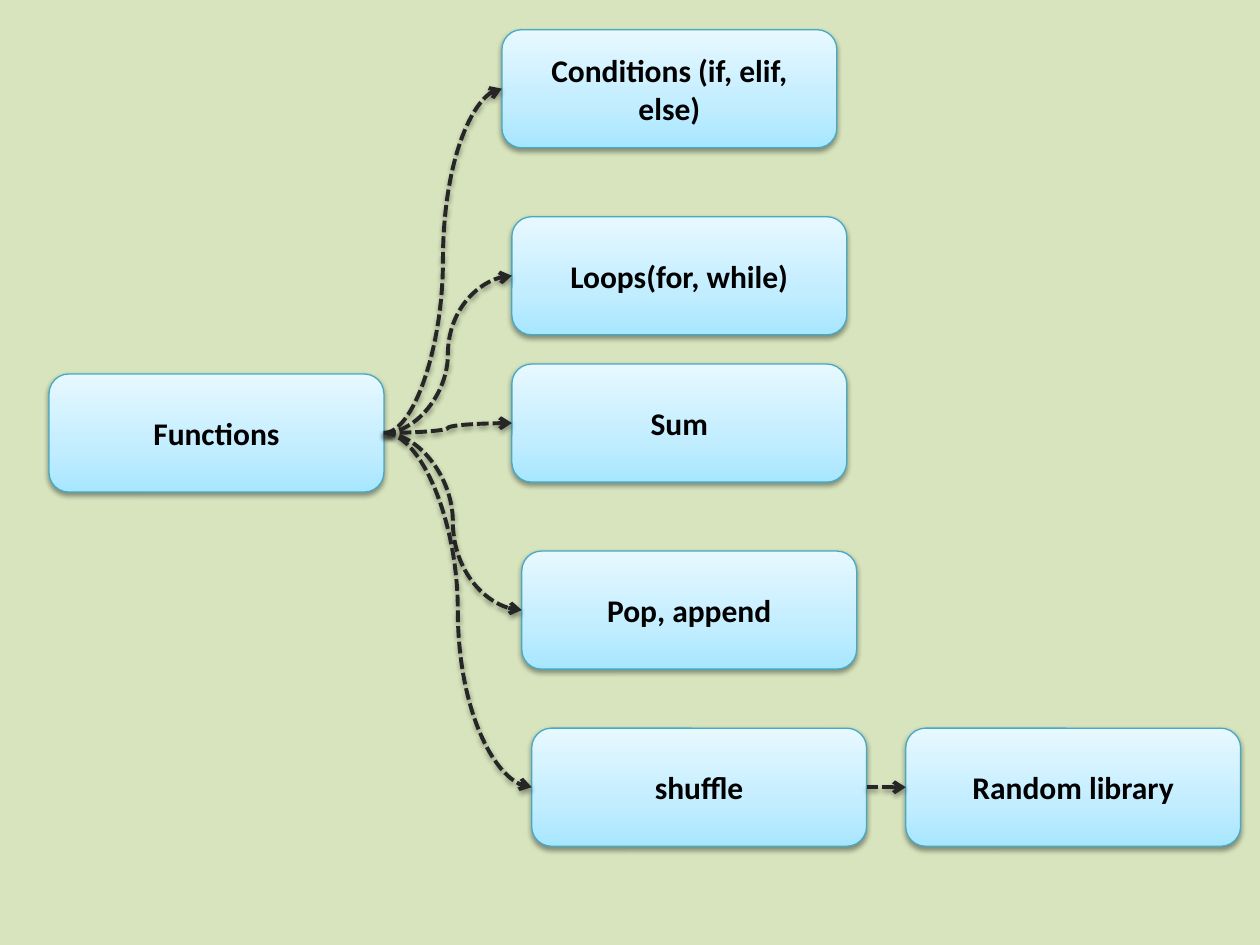
"""Build a slide that maps Functions to related Python topics."""
from pptx import Presentation
from pptx import util as u
from pptx.dml.color import RGBColor
from pptx.enum import dml, shapes, text
from pptx.oxml import parse_xml
from pptx.oxml.ns import nsdecls

COLORS = {
    "background": "D7E4BD",
    "box_bottom": "A7E6FF",
    "box_middle": "C1EDFF",
    "box_top": "E7F8FF",
    "border": "46AAC5",
    "arrow": "262626",
    "text": "000000",
    "shadow": "000000",
}
BOX_WIDTH, BOX_HEIGHT = u.Cm(6.75), u.Cm(2.38)
LEFT_SITE, RIGHT_SITE = 1, 3
BOXES = {
    "Functions": (0.99, 7.54),
    "Random library": (18.26, 14.68),
    "shuffle": (10.72, 14.68),
    "Pop, append": (10.52, 11.11),
    "Loops(for, while)": (10.32, 4.37),
    "Conditions (if, elif, else)": (10.12, 0.6),
    "Sum": (10.32, 7.34),
}
LINKS = [
    ("Functions", "Conditions (if, elif, else)"),
    ("Functions", "Loops(for, while)"),
    ("Functions", "Sum"),
    ("Functions", "Pop, append"),
    ("Functions", "shuffle"),
    ("shuffle", "Random library"),
]
GRADIENT = (
    f'<a:gradFill {nsdecls("a")} rotWithShape="1"><a:gsLst>'
    + "".join(
        f'<a:gs pos="{position * 1000}"><a:srgbClr val="{COLORS[name]}"/></a:gs>'
        for position, name in [(0, "box_bottom"), (35, "box_middle"), (100, "box_top")]
    )
    + '</a:gsLst><a:lin ang="16200000" scaled="1"/></a:gradFill>'
)
SHADOW = (
    f'<a:effectLst {nsdecls("a")}>'
    f'<a:outerShdw blurRad="{u.Pt(3.1)}" dist="{u.Pt(1.6)}" dir="5400000" rotWithShape="0">'
    f'<a:srgbClr val="{COLORS["shadow"]}"><a:alpha val="38000"/></a:srgbClr>'
    "</a:outerShdw></a:effectLst>"
)


def style_outline(element, color, width):
    element.line.color.rgb = RGBColor.from_string(COLORS[color])
    element.line.width = u.Pt(width)
    element._element.spPr.append(parse_xml(SHADOW))


presentation = Presentation()
presentation.slide_width, presentation.slide_height = u.Cm(25.4), u.Cm(19.05)
slide = presentation.slides.add_slide(presentation.slide_layouts[6])
slide.background.fill.solid()
slide.background.fill.fore_color.rgb = RGBColor.from_string(COLORS["background"])

boxes = {}
for label, (left, top) in BOXES.items():
    box = slide.shapes.add_shape(
        shapes.MSO_SHAPE.ROUNDED_RECTANGLE, u.Cm(left), u.Cm(top), BOX_WIDTH, BOX_HEIGHT
    )
    box._element.spPr.append(parse_xml(GRADIENT))
    style_outline(box, "border", 0.75)
    box.text_frame.word_wrap = True
    box.text_frame.vertical_anchor = text.MSO_ANCHOR.MIDDLE
    paragraph = box.text_frame.paragraphs[0]
    paragraph.alignment = text.PP_ALIGN.CENTER
    run = paragraph.add_run()
    run.text = label
    run.font.name = "Calibri"
    run.font.size = u.Pt(18)
    run.font.bold = True
    run.font.color.rgb = RGBColor.from_string(COLORS["text"])
    boxes[label] = box

for source, target in LINKS:
    arrow = slide.shapes.add_connector(shapes.MSO_CONNECTOR.CURVE, 0, 0, 0, 0)
    arrow.begin_connect(boxes[source], RIGHT_SITE)
    arrow.end_connect(boxes[target], LEFT_SITE)
    style_outline(arrow, "arrow", 2.25)
    arrow.line.dash_style = dml.MSO_LINE.SQUARE_DOT
    arrow.line._get_or_add_ln().append(
        parse_xml(f'<a:tailEnd {nsdecls("a")} type="arrow"/>')
    )

presentation.save("out.pptx")
